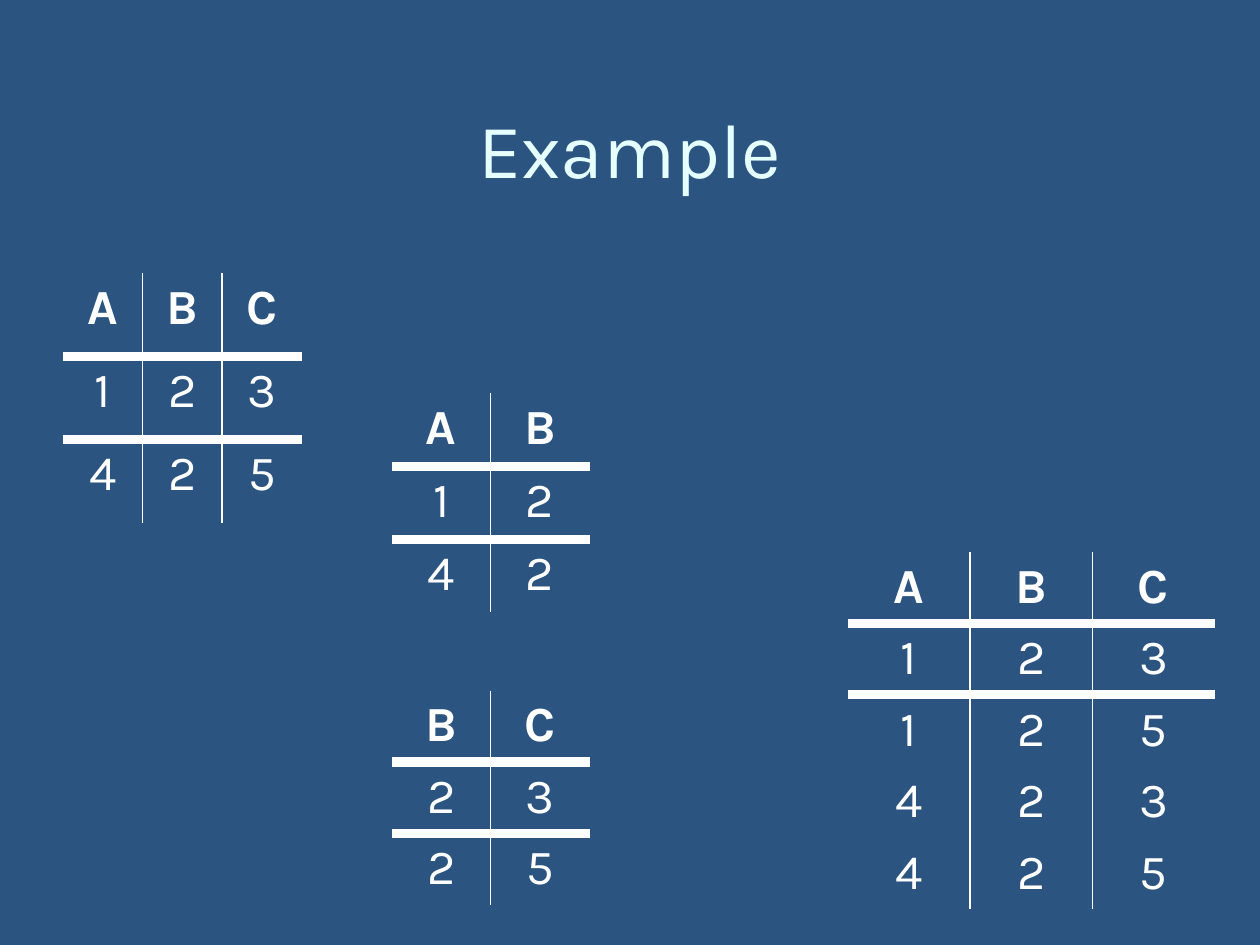
from typing import NamedTuple

import lxml.etree
import pptx
import pptx.dml.color
import pptx.enum.text
import pptx.oxml.ns
import pptx.util

NAVY = pptx.dml.color.RGBColor(0x2B, 0x54, 0x81)
PALE = pptx.dml.color.RGBColor(0xE5, 0xFF, 0xFF)
WHITE = pptx.dml.color.RGBColor(0xFF, 0xFF, 0xFF)
FONT = "Karla"
NO_GRID_STYLE = "{2D5ABB26-0587-4C30-8999-92F81FD0307C}"
WIDTH, HEIGHT = pptx.util.Inches(10), pptx.util.Inches(7.5)
THIN, THICK = 1, 6  # rule widths in points


class Relation(NamedTuple):
    """A table placed in percent of the slide; each string is one row."""
    left: float
    top: float
    col_width: float
    row_height: float
    rows: tuple[str, ...]


RELATIONS = (
    Relation(5, 28.93, 6.32, 8.8, ("ABC", "123", "425")),
    Relation(31.1, 41.6, 7.85, 7.73, ("AB", "12", "42")),
    Relation(31.1, 73.07, 7.85, 6.67, ("BC", "23", "25")),
    Relation(67.3, 58.4, 9.7, 6, ("ABC", "123", "125", "423", "425")),
)


def across(percent: float) -> int:
    return round(WIDTH * percent / 100)


def down(percent: float) -> int:
    return round(HEIGHT * percent / 100)


def format_text(p, size: float, color, bold: bool = False) -> None:
    p.alignment = pptx.enum.text.PP_ALIGN.CENTER
    font = p.runs[0].font
    font.name, font.size, font.bold = FONT, pptx.util.Pt(size), bold
    font.color.rgb = color


def add_child(parent, tag: str, **attributes: str):
    return lxml.etree.SubElement(parent, pptx.oxml.ns.qn(tag), **attributes)


def add_border(cell, side: str, points: float) -> None:
    tc_pr = cell._tc.get_or_add_tcPr()
    ln = add_child(tc_pr, f"a:ln{side}", w=str(pptx.util.Pt(points)))
    add_child(add_child(ln, "a:solidFill"), "a:srgbClr", val=str(WHITE))


def draw_cell(cell, text: str, row: int, col: int, last_col: int) -> None:
    cell.text_frame.text = text
    p = cell.text_frame.paragraphs[0]
    format_text(p, 28, WHITE, bold=row == 0)
    spacing = add_child(p._p.get_or_add_pPr(), "a:spcBef")
    add_child(spacing, "a:spcPct", val="20000")
    # Rules between columns and under the header
    if col > 0:
        add_border(cell, "L", THIN)
    if col < last_col:
        add_border(cell, "R", THIN)
    if row == 1:
        add_border(cell, "T", THICK)
    if row == 0:
        add_border(cell, "B", THICK)
    cell.fill.background()


def draw_relation(s, relation: Relation) -> None:
    n_rows, n_cols = len(relation.rows), len(relation.rows[0])
    frame = s.shapes.add_table(
        n_rows, n_cols, across(relation.left), down(relation.top),
        across(relation.col_width * n_cols), down(relation.row_height * n_rows))
    table = frame.table
    table.horz_banding = False
    table._tbl.tblPr.find(pptx.oxml.ns.qn("a:tableStyleId")).text = NO_GRID_STYLE
    for row, values in enumerate(relation.rows):
        for col, value in enumerate(values):
            draw_cell(table.cell(row, col), value, row, col, n_cols - 1)


def draw_title(s, text: str) -> None:
    sp = s.shapes.add_textbox(across(5), down(5.6), across(90), down(20))
    tf = sp.text_frame
    tf.word_wrap = True
    tf.vertical_anchor = pptx.enum.text.MSO_ANCHOR.MIDDLE
    tf.text = text
    format_text(tf.paragraphs[0], 44, PALE)


def main() -> None:
    prs = pptx.Presentation()
    prs.slide_width, prs.slide_height = WIDTH, HEIGHT
    s = prs.slides.add_slide(prs.slide_layouts[6])

    # Background and title
    s.background.fill.solid()
    s.background.fill.fore_color.rgb = NAVY
    draw_title(s, "Example")

    # Relation, its two projections and their join
    for relation in RELATIONS:
        draw_relation(s, relation)
    prs.save("out.pptx")


if __name__ == "__main__":
    main()
